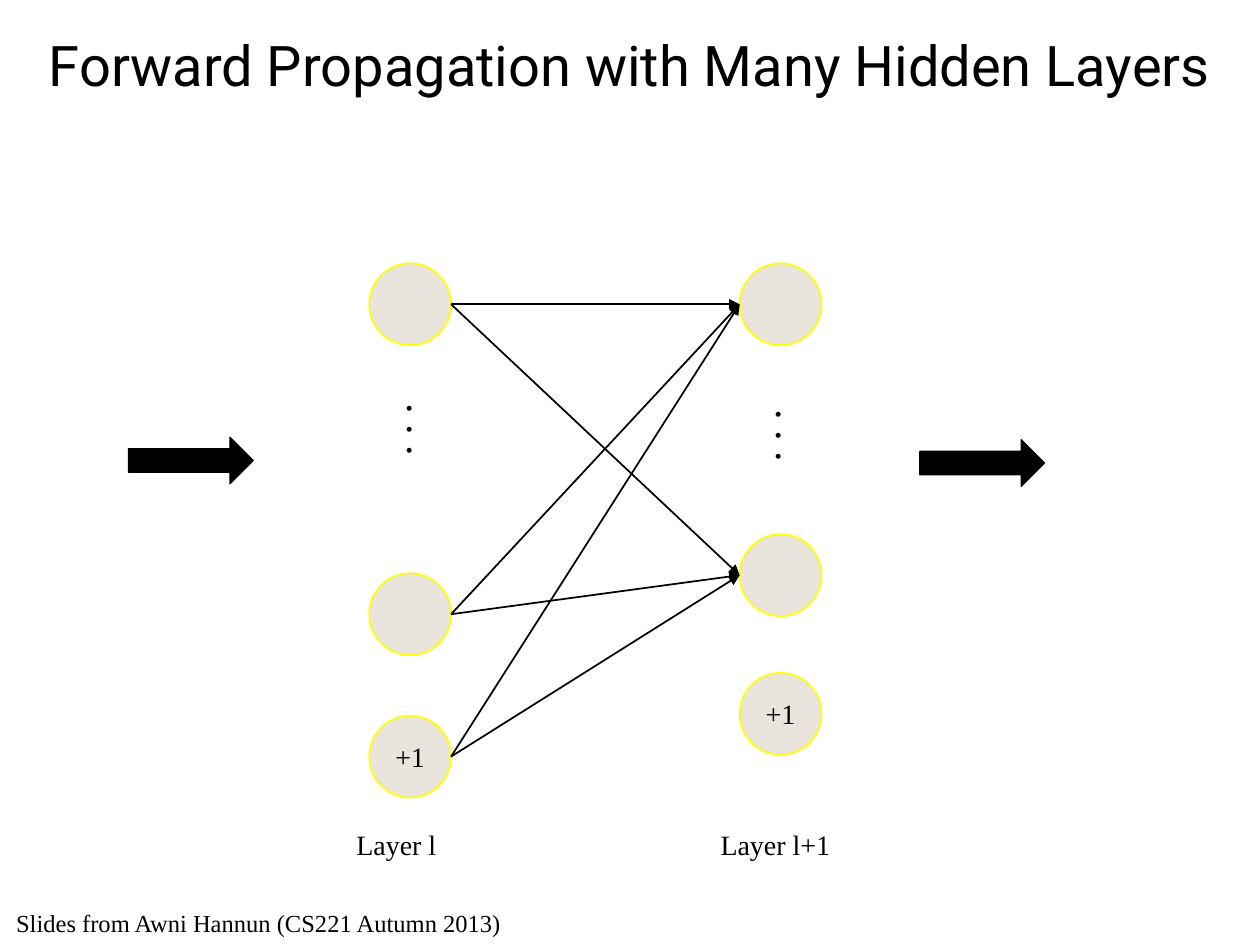
from lxml.etree import SubElement
from pptx import Presentation
from pptx.dml.color import RGBColor
from pptx.enum.shapes import MSO_CONNECTOR as CXN, MSO_SHAPE as SHAPE
from pptx.enum.text import MSO_ANCHOR as ANCHOR, MSO_AUTO_SIZE as AUTO, PP_ALIGN as ALIGN
from pptx.oxml.ns import qn
from pptx.util import Inches, Pt

BLACK = RGBColor(0x00, 0x00, 0x00)
BEIGE = RGBColor(0xE9, 0xE5, 0xDC)
YELLOW = RGBColor(0xFF, 0xFF, 0x00)
SERIF = "Times New Roman"

TITLE = "Forward Propagation with Many Hidden Layers"
NODE = 0.65
# Each layer: left edge and (top, text) of its nodes; the last node is the bias
LAYERS = [
    (2.93, [(2.09, ""), (4.55, ""), (5.68, "+1")]),
    (5.87, [(2.09, ""), (4.24, ""), (5.34, "+1")]),
]
FLOW_ARROWS = [(1.02, 3.47), (7.3, 3.49)]
# text, left, top, width, height, size, rotation
LABELS = [
    ("Layer l", 2.73, 6.52, 1.88, 0.37, 16, 0),
    ("Layer l+1", 5.62, 6.52, 1.88, 0.37, 16, 0),
    (". . .", 3.04, 3.18, 0.65, 0.5, 24, 90),
    (". . .", 5.97, 3.23, 0.65, 0.5, 24, 90),
    ("Slides from Awni Hannun (CS221 Autumn 2013)", 0.03, 7.16, 4.74, 0.34, 14, 0),
]


def write(sp, text, size=16, font=SERIF, align=ALIGN.LEFT, anchor=ANCHOR.TOP):
    tf = sp.text_frame
    tf.word_wrap = True
    tf.auto_size = AUTO.NONE
    tf.vertical_anchor = anchor
    p = tf.paragraphs[0]
    p.alignment = align
    r = p.add_run()
    r.text = text
    r.font.size = Pt(size)
    r.font.name = font
    r.font.color.rgb = BLACK


def add_filled(s, kind, box, fill, line, weight):
    sp = s.shapes.add_shape(kind, *map(Inches, box))
    sp.shadow.inherit = False
    sp.fill.solid()
    sp.fill.fore_color.rgb = fill
    sp.line.color.rgb = line
    sp.line.width = Pt(weight)
    return sp


def add_arrow(s, start, end):
    cxn = s.shapes.add_connector(CXN.STRAIGHT, *map(Inches, start + end))
    cxn.line.color.rgb = BLACK
    cxn.line.width = Pt(1)
    SubElement(cxn.line._get_or_add_ln(), qn("a:tailEnd"), type="triangle")
    SubElement(cxn._element.spPr, qn("a:effectLst"))


def main():
    prs = Presentation()
    prs.slide_width, prs.slide_height = Inches(10), Inches(7.5)
    s = prs.slides.add_slide(prs.slide_layouts[5])

    title = s.shapes.title
    title.left, title.top = Inches(0.21), Inches(0.15)
    title.width, title.height = Inches(9.58), Inches(0.72)
    write(title, TITLE, size=32, font="Roboto", align=ALIGN.CENTER, anchor=ANCHOR.MIDDLE)

    for left, nodes in LAYERS:
        for top, text in nodes:
            sp = add_filled(s, SHAPE.OVAL, (left, top, NODE, NODE), BEIGE, YELLOW, 1)
            if text:
                write(sp, text, align=ALIGN.CENTER, anchor=ANCHOR.MIDDLE)

    # Every node feeds each node of the next layer except its bias
    (left, sources), (right, targets) = LAYERS
    for source, _ in sources:
        for target, _ in targets[:-1]:
            add_arrow(s, (left + NODE, source + NODE / 2), (right, target + NODE / 2))

    for x, y in FLOW_ARROWS:
        add_filled(s, SHAPE.RIGHT_ARROW, (x, y, 0.99, 0.37), BLACK, BLACK, 0.75)

    for text, x, y, w, h, size, rotation in LABELS:
        tb = s.shapes.add_textbox(*map(Inches, (x, y, w, h)))
        tb.rotation = rotation
        write(tb, text, size=size)

    prs.save("out.pptx")


if __name__ == "__main__":
    main()
